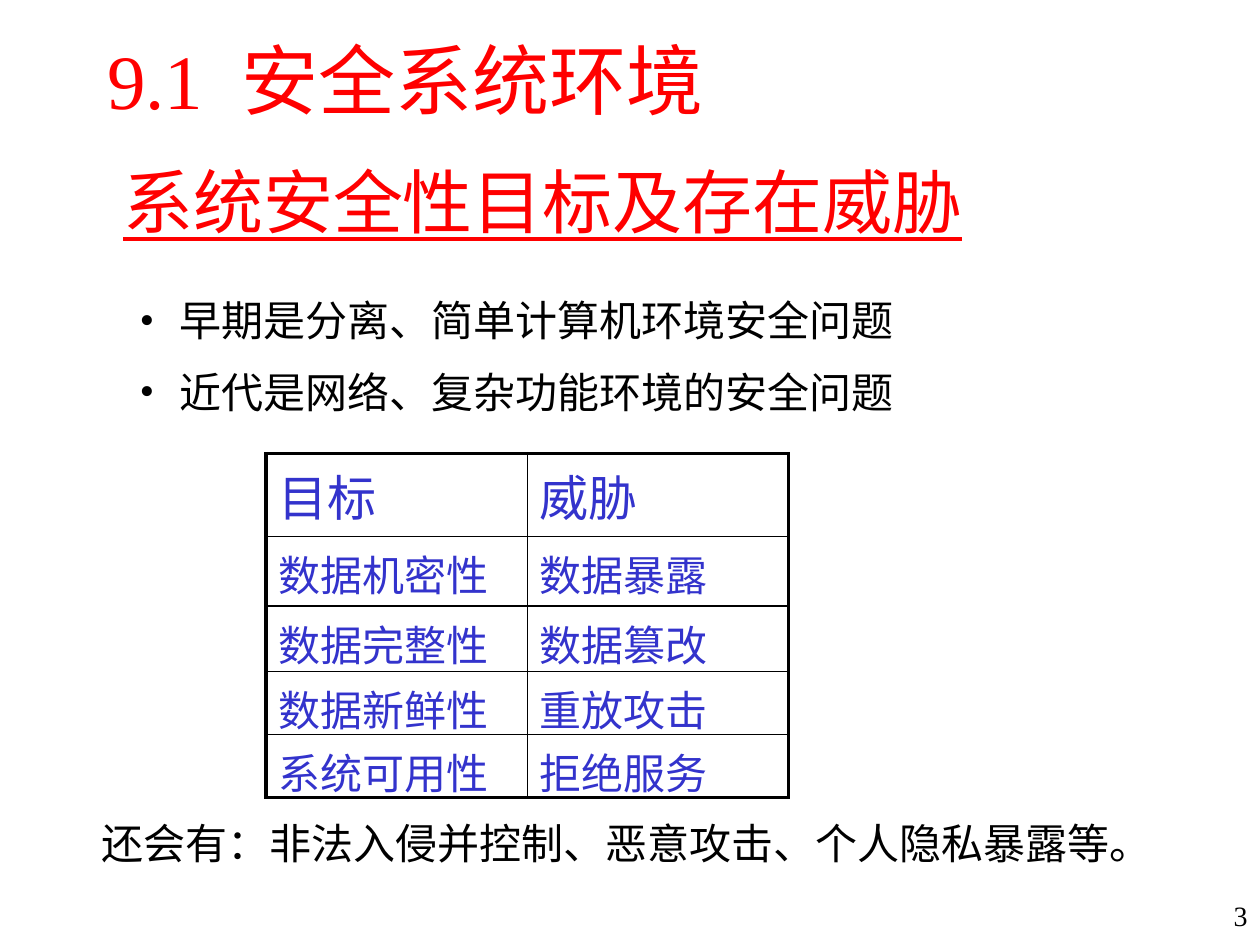
import pptx
import pptx.dml.color
import pptx.enum.text
import pptx.oxml
import pptx.oxml.ns
import pptx.util
from pptx.util import Inches

ANCHOR = pptx.enum.text.MSO_ANCHOR
ALIGN = pptx.enum.text.PP_ALIGN
RED, BLACK, BLUE = "FF0000", "000000", "3333CC"
NAMESPACE = pptx.oxml.ns.nsdecls("a")


def color(hex_string):
    return pptx.dml.color.RGBColor.from_string(hex_string)


def write(paragraph, text, size=24, ink=BLACK, underline=False, align=ALIGN.LEFT):
    paragraph.alignment = align
    run = paragraph.add_run()
    run.text = text
    font = run.font
    font.name = "Times New Roman"
    font.size = pptx.util.Pt(size)
    font.color.rgb = color(ink)
    font.bold = False
    font.underline = underline


def add_bullet(paragraph, indent):
    properties = paragraph._p.get_or_add_pPr()
    properties.set("marL", str(indent))
    properties.set("indent", str(-indent))
    for element in ('buFont {} typeface="Times New Roman"', 'buChar {} char="•"'):
        properties.append(pptx.oxml.parse_xml(f"<a:{element.format(NAMESPACE)}/>"))


def set_borders(cell, widths):
    """Draw the cell's sides; widths maps L, R, T and B to points."""
    properties = cell._tc.get_or_add_tcPr()
    for position, (side, points) in enumerate(widths.items()):
        line = pptx.oxml.parse_xml(
            f'<a:ln{side} {NAMESPACE} w="{pptx.util.Pt(points)}"><a:solidFill>'
            f'<a:srgbClr val="{BLACK}"/></a:solidFill></a:ln{side}>')
        properties.insert(position, line)


class SlideBuilder:
    inner_line = 1
    outer_line = 2.25
    bullet_indent = Inches(0.32)
    bullet_gap = pptx.util.Pt(12)

    def __init__(self, presentation):
        self.slide = presentation.slides.add_slide(presentation.slide_layouts[5])

    def title(self, text, left, top, width, height):
        title = self.slide.shapes.title
        title.left, title.top, title.width, title.height = left, top, width, height
        title.text_frame.vertical_anchor = ANCHOR.MIDDLE
        write(title.text_frame.paragraphs[0], text, size=44, ink=RED)

    def text(self, lines, left, top, width, height, bullets=False, **text_format):
        frame = self.slide.shapes.add_textbox(left, top, width, height).text_frame
        frame.word_wrap = True
        for index, line in enumerate(lines):
            paragraph = frame.add_paragraph() if index else frame.paragraphs[0]
            if index:
                paragraph.space_before = self.bullet_gap
            if bullets:
                add_bullet(paragraph, self.bullet_indent)
            write(paragraph, line, **text_format)

    def table(self, rows, heights, left, top, width):
        row_count, column_count = len(rows), len(rows[0])
        table = self.slide.shapes.add_table(
            row_count, column_count, left, top, width, Inches(sum(heights))).table
        table.first_row = table.horz_banding = False
        for row_index, (texts, height) in enumerate(zip(rows, heights)):
            table.rows[row_index].height = Inches(height)
            for column_index, text in enumerate(texts):
                cell = table.cell(row_index, column_index)
                cell.fill.background()
                cell.margin_top = Inches(0.05)
                cell.margin_bottom = 0
                write(cell.text_frame.paragraphs[0], text,
                      size=24 if row_index else 28, ink=BLUE)
                on_edge = {"L": column_index == 0, "R": column_index == column_count - 1,
                           "T": row_index == 0, "B": row_index == row_count - 1}
                set_borders(cell, {side: self.outer_line if outer else self.inner_line
                                   for side, outer in on_edge.items()})


def main():
    presentation = pptx.Presentation()
    presentation.slide_width, presentation.slide_height = Inches(10), Inches(7.5)
    builder = SlideBuilder(presentation)

    builder.text(["3"], Inches(9.4), Inches(7.08), Inches(0.6), Inches(0.42),
                 size=16, align=ALIGN.RIGHT)
    builder.title("9.1  安全系统环境", Inches(0.75), 0, Inches(8.5), Inches(1.25))
    builder.text(["系统安全性目标及存在威胁"], Inches(0.88), Inches(1.21),
                 Inches(6.92), Inches(0.77), size=40, ink=RED, underline=True)
    builder.table(
        [("目标", "威胁"),
         ("数据机密性", "数据暴露"),
         ("数据完整性", "数据篡改"),
         ("数据新鲜性", "重放攻击"),
         ("系统可用性", "拒绝服务")],
        [0.66, 0.55, 0.52, 0.5, 0.5], Inches(2.11), Inches(3.6), Inches(4.15))
    builder.text(["早期是分离、简单计算机环境安全问题", "近代是网络、复杂功能环境的安全问题"],
                 Inches(1.01), Inches(2.29), Inches(7.92), Inches(1.11), bullets=True)
    builder.text(["还会有：非法入侵并控制、恶意攻击、个人隐私暴露等。"],
                 Inches(0.71), Inches(6.44), Inches(8.53), Inches(0.5))

    presentation.save("out.pptx")


if __name__ == "__main__":
    main()
